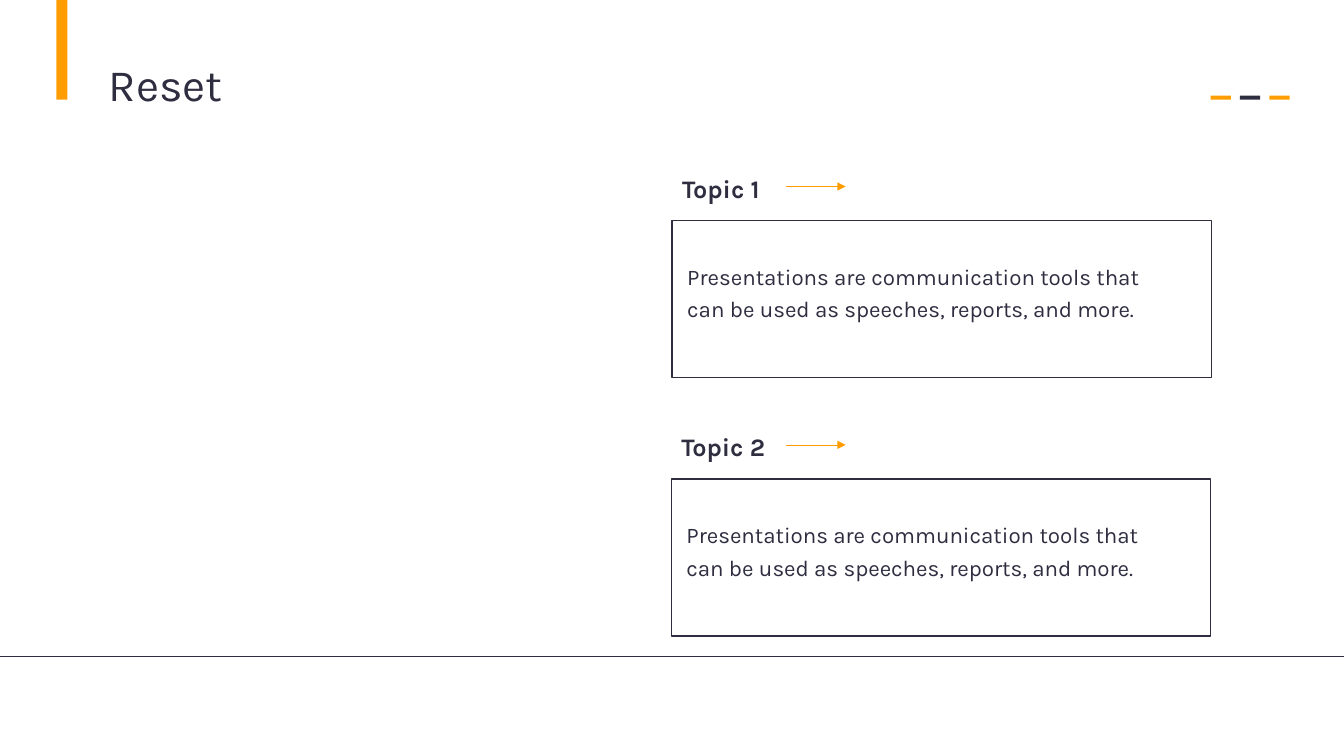
"""Build the Reset slide with two boxed topics."""
from dataclasses import dataclass

from lxml.etree import SubElement
from pptx import Presentation
from pptx.dml.color import RGBColor
from pptx.enum.shapes import MSO_CONNECTOR as Connector, MSO_SHAPE as Preset
from pptx.enum.text import MSO_ANCHOR as Anchor, MSO_AUTO_SIZE as AutoSize, PP_ALIGN as Align
from pptx.oxml.ns import qn
from pptx.shapes.base import BaseShape
from pptx.slide import Slide
from pptx.util import Cm, Pt

FONT = "Karla"
INK = "2F2E41"
ORANGE = "FF9D00"
WHITE = "FFFFFF"
WIDTH, HEIGHT = 33.87, 19.05
BODY = "Presentations are communication tools that can be used as speeches, reports, and more."


@dataclass(frozen=True)
class Area:
    left: float
    top: float
    width: float
    height: float

    def lengths(self) -> tuple[Cm, Cm, Cm, Cm]:
        return Cm(self.left), Cm(self.top), Cm(self.width), Cm(self.height)


@dataclass(frozen=True)
class Topic:
    heading: str
    body: str
    left: float
    top: float


TOPICS = (Topic("Topic 1", BODY, 16.94, 5.56), Topic("Topic 2", BODY, 16.92, 12.07))
ACCENT_BAR = Area(1.42, 0, 0.28, 2.51)
DASH = Area(30.51, 2.41, 0.51, 0.1)
DASH_STEP = 0.74
DASH_COLOURS = (ORANGE, INK, ORANGE)


def colour(value: str) -> RGBColor:
    return RGBColor.from_string(value)


def write(box: BaseShape, text: str, size: float, bold: bool = False, spacing: float = 1.0) -> None:
    frame = box.text_frame
    frame.text = text
    frame.word_wrap = True
    frame.auto_size = AutoSize.NONE
    frame.vertical_anchor = Anchor.TOP
    para = frame.paragraphs[0]
    para.alignment = Align.LEFT
    para.line_spacing = spacing
    font = para.runs[0].font
    font.name, font.size, font.bold = FONT, Pt(size), bold
    font.color.rgb = colour(INK)


def add_text(page: Slide, area: Area, text: str, size: float, bold: bool = False) -> None:
    write(page.shapes.add_textbox(*area.lengths()), text, size, bold, 1.2)


def add_rectangle(page: Slide, area: Area, fill: str, outline: str | None = None) -> None:
    box = page.shapes.add_shape(Preset.RECTANGLE, *area.lengths())
    box.shadow.inherit = False
    box.fill.solid()
    box.fill.fore_color.rgb = colour(fill)
    if outline:
        box.line.color.rgb = colour(outline)
        box.line.width = Pt(1)
    else:
        box.line.fill.background()


def add_rule(page: Slide, start: float, end: float, top: float, hue: str,
             weight: float, arrow: bool = False) -> None:
    rule = page.shapes.add_connector(Connector.STRAIGHT, Cm(start), Cm(top), Cm(end), Cm(top))
    rule.line.color.rgb = colour(hue)
    rule.line.width = Pt(weight)
    if arrow:
        SubElement(rule.line._get_or_add_ln(), qn("a:tailEnd"), type="triangle")
    SubElement(rule._element.spPr, qn("a:effectLst"))


def add_title(page: Slide, text: str) -> None:
    title = page.shapes.title
    title.left, title.top, title.width, title.height = Area(2.49, 1.3, 18.11, 1.63).lengths()
    write(title, text, 32)


def add_topic(page: Slide, topic: Topic) -> None:
    left, top = topic.left, topic.top
    add_rectangle(page, Area(left, top, 13.59, 3.96), WHITE, INK)
    add_text(page, Area(left + 0.13, top + 0.81, 12.85, 1.85), topic.body, 16)
    add_text(page, Area(left, top - 1.47, 8.08, 1.14), topic.heading, 18, bold=True)
    add_rule(page, 19.81, 21.31, top - 0.86, ORANGE, 0.5, arrow=True)


def main() -> None:
    deck = Presentation()
    deck.slide_width, deck.slide_height = Cm(WIDTH), Cm(HEIGHT)
    page = deck.slides.add_slide(deck.slide_layouts.get_by_name("Title Only"))
    add_rule(page, 0, WIDTH, 16.54, INK, 1)
    add_title(page, "Reset")
    add_rectangle(page, ACCENT_BAR, ORANGE)
    for index, fill in enumerate(DASH_COLOURS):
        left = DASH.left + index * DASH_STEP
        add_rectangle(page, Area(left, DASH.top, DASH.width, DASH.height), fill)
    for topic in TOPICS:
        add_topic(page, topic)
    deck.save("out.pptx")


if __name__ == "__main__":
    main()
